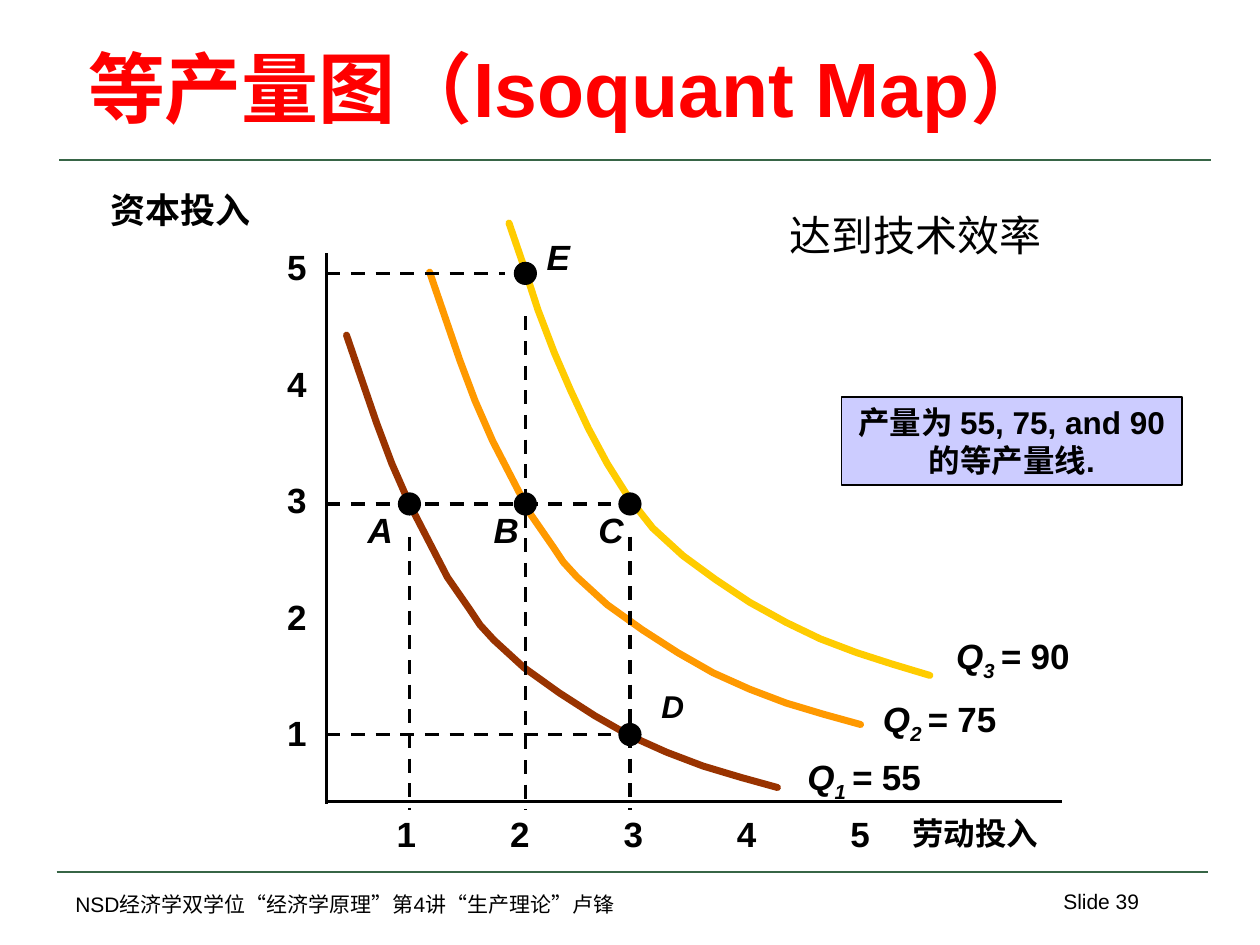
from lxml.etree import SubElement
from pptx import Presentation
from pptx.dml.color import RGBColor
from pptx.enum.dml import MSO_LINE
from pptx.enum.shapes import MSO_CONNECTOR, MSO_SHAPE
from pptx.enum.text import MSO_ANCHOR, MSO_AUTO_SIZE, PP_ALIGN
from pptx.oxml.ns import qn
from pptx.util import Inches, Pt

BLACK = "000000"
GREEN = "376546"
AXIS_X = 2.59
AXIS_Y = 6.36
DOT_SIZE = 0.17

Q2_POINTS = [
    (3.41, 2.16), (3.53, 2.51), (3.65, 2.86), (3.77, 3.18), (3.91, 3.5),
    (4.06, 3.79), (4.21, 4.08), (4.39, 4.34), (4.47, 4.46), (4.58, 4.58),
    (4.7, 4.69), (4.82, 4.8), (5.1, 5), (5.38, 5.18), (5.66, 5.34),
    (5.95, 5.47), (6.24, 5.58), (6.54, 5.67), (6.83, 5.75),
]
Q1_POINTS = [(x - 0.66, y + 0.5) for x, y in Q2_POINTS]
Q3_POINTS = [
    (4.04, 1.77), (4.16, 2.12), (4.27, 2.46), (4.4, 2.8), (4.53, 3.1),
    (4.67, 3.4), (4.82, 3.68), (4.99, 3.95), (5.18, 4.19), (5.42, 4.41),
    (5.68, 4.6), (5.95, 4.78), (6.24, 4.94), (6.51, 5.07), (6.8, 5.18),
    (7.08, 5.27), (7.38, 5.36),
]


def rgb(color):
    return RGBColor.from_string(color)


def format_run(r, size, color=BLACK, bold=False, italic=False):
    r.font.name = "Arial"
    r.font.size = Pt(size)
    r.font.color.rgb = rgb(color)
    r.font.bold = bold
    r.font.italic = italic


def add_text(s, text, box, size, color=BLACK, bold=True, italic=False,
             align=PP_ALIGN.LEFT, anchor=MSO_ANCHOR.TOP, wrap=False):
    tb = s.shapes.add_textbox(*map(Inches, box))
    tf = tb.text_frame
    tf.word_wrap = wrap
    tf.auto_size = MSO_AUTO_SIZE.NONE if wrap else MSO_AUTO_SIZE.SHAPE_TO_FIT_TEXT
    tf.vertical_anchor = anchor
    p = tf.paragraphs[0]
    p.text = text
    p.alignment = align
    format_run(p.runs[0], size, color, bold, italic)
    return p


def add_line(s, start, end, color=BLACK, width=2, dashed=False):
    line = s.shapes.add_connector(
        MSO_CONNECTOR.STRAIGHT, *map(Inches, (*start, *end)))
    line.line.color.rgb = rgb(color)
    line.line.width = Pt(width)
    if dashed:
        line.line.dash_style = MSO_LINE.DASH
    SubElement(line._element.spPr, qn("a:effectLst"))


def add_curve(s, points, color):
    start, *rest = [(Inches(x), Inches(y)) for x, y in points]
    builder = s.shapes.build_freeform(*start)
    builder.add_line_segments(rest, close=False)
    sp = builder.convert_to_shape()
    sp.shadow.inherit = False
    sp.fill.background()
    sp.line.color.rgb = rgb(color)
    sp.line.width = Pt(4)
    ln = sp.line._get_or_add_ln()
    ln.set("cap", "rnd")
    SubElement(ln, qn("a:round"))


def add_filled(s, kind, box, fill):
    sp = s.shapes.add_shape(kind, *map(Inches, box))
    sp.shadow.inherit = False
    sp.fill.solid()
    sp.fill.fore_color.rgb = rgb(fill)
    sp.line.color.rgb = rgb(BLACK)
    sp.line.width = Pt(1)
    return sp


def add_dot(s, x, y):
    box = (x - DOT_SIZE / 2, y - DOT_SIZE / 2, DOT_SIZE, DOT_SIZE)
    add_filled(s, MSO_SHAPE.OVAL, box, BLACK)


def add_quantity(s, index, value, left, top):
    """Label a curve as Q, subscript index, and its output."""
    p = add_text(s, "Q", (left, top, 1.1, 0.48), 20, italic=True)
    for text, italic in ((f"{index} ", True), ("= ", True), (value, False)):
        r = p.add_run()
        r.text = text
        format_run(r, 20, bold=True, italic=italic)
    p.runs[1]._r.get_or_add_rPr().set("baseline", "-25000")


def add_note(s):
    sp = add_filled(s, MSO_SHAPE.RECTANGLE, (6.68, 3.15, 2.7, 0.7), "CCCCFF")
    tf = sp.text_frame
    tf.word_wrap = False
    tf.text = "产量为 55, 75, and 90\n的等产量线."
    for p in tf.paragraphs:
        p.alignment = PP_ALIGN.CENTER
        format_run(p.runs[0], 18, bold=True)


def add_frame(s):
    """Title, rules and footer."""
    add_line(s, (0.47, 1.27), (9.61, 1.27), GREEN, 1.5)
    add_line(s, (0.45, 6.92), (9.59, 6.92), GREEN, 1.5)
    add_text(s, "等产量图（Isoquant Map）", (0.6, 0.25, 9.08, 0.85), 44, "FF0000",
             anchor=MSO_ANCHOR.BOTTOM, wrap=True)
    add_text(s, "NSD经济学双学位“经济学原理”第4讲“生产理论”卢锋",
             (0.5, 7.03, 6.3, 0.3), 12, bold=False, wrap=True)
    add_text(s, "Slide 39", (7.94, 7, 1.2, 0.5), 12, bold=False,
             align=PP_ALIGN.RIGHT, wrap=True)


def add_axes(s):
    add_line(s, (AXIS_X, 2.01), (AXIS_X, 6.38))
    add_line(s, (AXIS_X, AXIS_Y), (8.43, AXIS_Y))
    for i in range(5):
        add_text(s, str(i + 1), (2.18, 5.6 - 0.925 * i, 0.35, 0.43), 20)
        add_text(s, str(i + 1), (3.05 + 0.9 * i, 6.4, 0.35, 0.43), 20)
    add_text(s, "资本投入", (0.78, 1.45, 1.31, 0.43), 20)
    add_text(s, "劳动投入", (7.14, 6.41, 1.2, 0.4), 18)


def main():
    prs = Presentation()
    prs.slide_width, prs.slide_height = Inches(10), Inches(7.5)
    s = prs.slides.add_slide(prs.slide_layouts[6])
    add_frame(s)
    add_curve(s, Q2_POINTS, "FF9900")
    add_curve(s, Q1_POINTS, "993300")
    add_axes(s)

    for y, right in ((4, 4.85), (5.83, 4.85), (2.17, 4.01)):
        add_line(s, (AXIS_X, y), (right, y), dashed=True)
    for x, top in ((3.25, 4.26), (4.17, 2.51), (5, 4.26)):
        add_line(s, (x, top), (x, 6.43), dashed=True)
    add_curve(s, Q3_POINTS, "FFCC00")

    for x, y in ((3.25, 4), (4.17, 4), (5, 4), (5, 5.83), (4.17, 2.17)):
        add_dot(s, x, y)
    for name, left, top, size in (
            ("A", 2.82, 3.99, 20), ("B", 3.82, 3.99, 20), ("C", 4.65, 3.99, 20),
            ("D", 5.15, 5.4, 18), ("E", 4.24, 1.82, 20)):
        add_text(s, name, (left, top, 0.4, 0.43), size, italic=True)

    add_quantity(s, 1, "55", 6.31, 5.95)
    add_quantity(s, 2, "75", 6.91, 5.49)
    add_quantity(s, 3, "90", 7.49, 4.99)
    add_note(s)
    add_text(s, "达到技术效率", (6.17, 1.61, 2.81, 0.5), 24, bold=False, wrap=True)
    prs.save("out.pptx")


if __name__ == "__main__":
    main()
